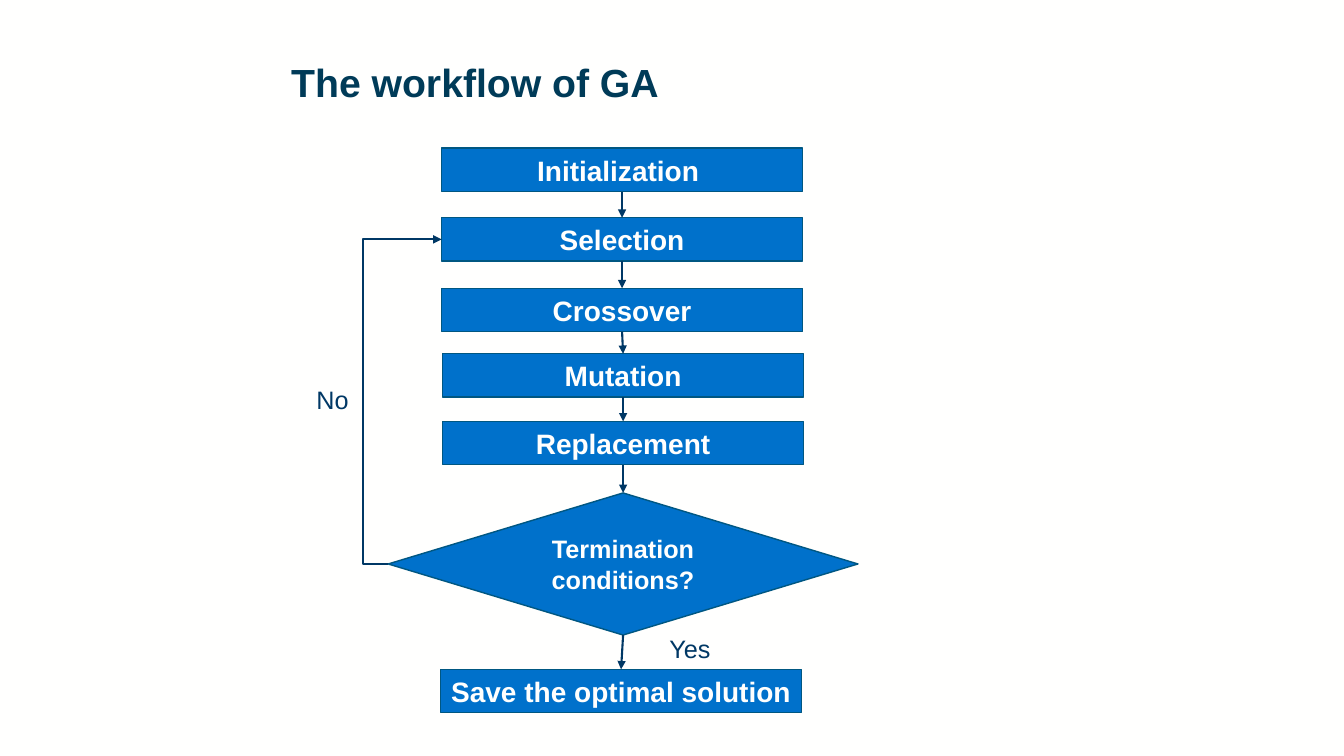
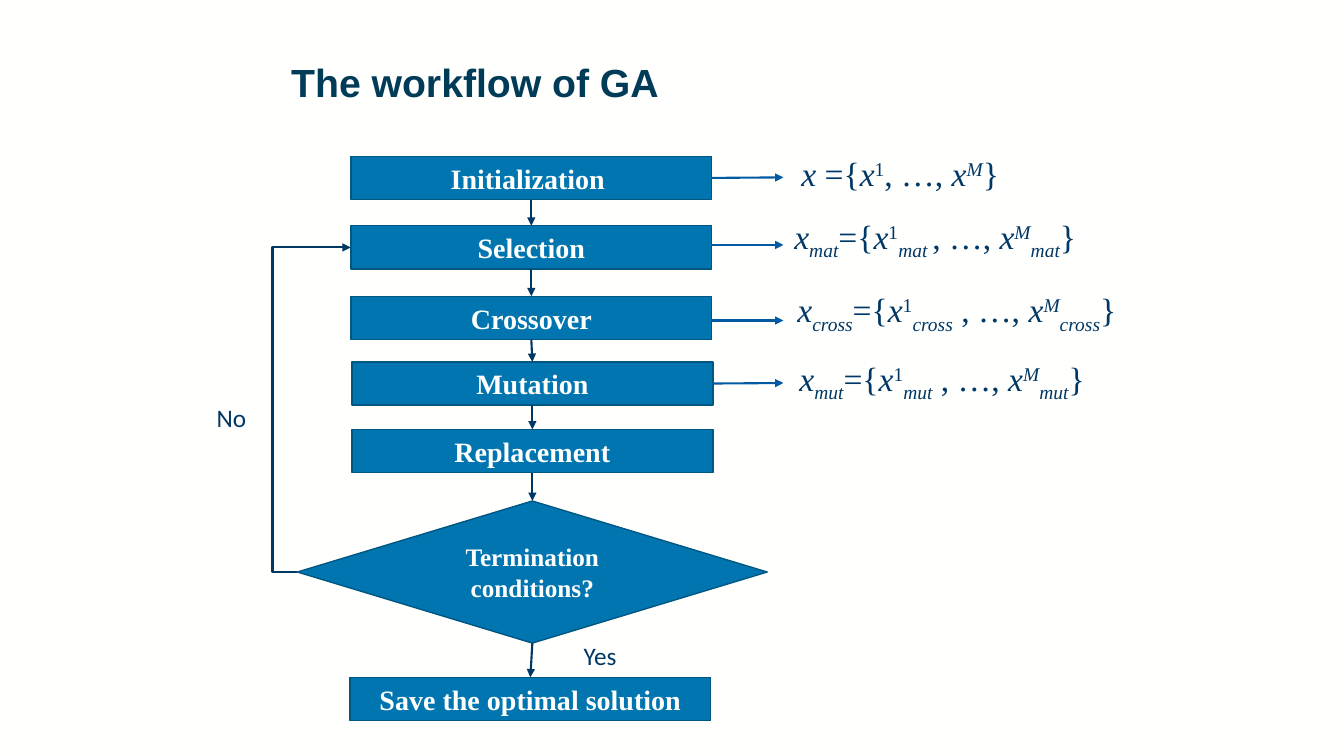
"""Build two slides that show the workflow of a genetic algorithm."""
from dataclasses import dataclass
from itertools import pairwise
from typing import Any

from lxml.etree import SubElement
from pptx import Presentation
from pptx.dml.color import RGBColor
from pptx.enum.shapes import MSO_CONNECTOR as Route, MSO_SHAPE as Preset
from pptx.enum.text import MSO_ANCHOR as Anchor, PP_ALIGN as Align
from pptx.oxml.ns import qn
from pptx.shapes.autoshape import Shape
from pptx.shapes.connector import Connector
from pptx.slide import Slide
from pptx.util import Emu, Pt

EMU_PER_PX = 9144
PAGE_WIDTH, PAGE_HEIGHT = 1333, 750
PAPER, TITLE_INK, NAVY = "FFFFFE", "003B58", "003865"
EDGE, RESULT_LINE = "005782", "005AA2"
SANS, SERIF, LABEL_FONT = "Arial", "Times New Roman", "Calibri"
TOP, LEFT, BOTTOM, RIGHT = range(4)
BOX_WIDTH, BOX_HEIGHT = 358, 43
DIAMOND_WIDTH, DIAMOND_HEIGHT = 466, 141
LOOP_BEND = -46600
RESULT_TIP = 777
SUPER, SUB = 30000, -25000


@dataclass(frozen=True)
class Step:
    text: str
    dx: int
    dy: int
    is_decision: bool = False


@dataclass(frozen=True)
class Span:
    text: str
    italic: bool = False
    baseline: int = 0


@dataclass(frozen=True)
class Label:
    text: str
    left: int
    top: int
    width: int


@dataclass(frozen=True)
class Flow:
    left: int
    top: int
    fill: str
    font: str
    label_font: str
    labels: tuple[Label, ...]


@dataclass(frozen=True)
class Result:
    left: int
    top: int
    width: int
    arrow_y: int
    name: str
    subscript: str
    member_subscript: str
    separator: str


STEPS = (
    Step("Initialization ", 0, 0),
    Step("Selection", 0, 69),
    Step("Crossover", 0, 139),
    Step("Mutation", 1, 204),
    Step("Replacement", 1, 271),
    Step("Termination conditions?", -53, 342, is_decision=True),
    Step("Save the optimal solution", -1, 517),
)
PLAIN_FLOW = Flow(438, 147, "0071CB", SANS, SANS,
                  (Label("No", 304, 376, 54), Label("Yes", 654, 623, 80)))
RESULT_FLOW = Flow(348, 155, "0075B0", SERIF, LABEL_FONT,
                   (Label("No", 205, 394, 54), Label("Yes", 569, 630, 57)))
RESULTS = (
    Result(785, 147, 224, 176, "x ", "", "", ", …, "),
    Result(778, 209, 344, 243, "x", "mat", "mat ", ", …, "),
    Result(781, 282, 352, 318, "x", "cross", "cross", " , …, "),
    Result(783, 350, 354, 380, "x", "mut", "mut", " , …, "),
)


def px(length: int) -> Emu:
    return Emu(length * EMU_PER_PX)


def rgb(code: str) -> RGBColor:
    return RGBColor.from_string(code)


def apply(target: Any, formats: dict[str, Any]) -> None:
    for name, value in formats.items():
        setattr(target, name, value)


def write(shape: Shape, spans: list[Span], color: str, font: dict[str, Any],
          para_format: dict[str, Any] | None = None) -> None:
    para = shape.text_frame.paragraphs[0]
    apply(para, para_format or {})
    for item in spans:
        span = para.add_run()
        span.text = item.text
        apply(span.font, font | {"italic": item.italic})
        span.font.color.rgb = rgb(color)
        if item.baseline:
            span._r.get_or_add_rPr().set("baseline", str(item.baseline))


def add_text(page: Slide, left: int, top: int, width: int, height: int,
             spans: list[Span], color: str, font: dict[str, Any],
             para_format: dict[str, Any] | None = None) -> None:
    box = page.shapes.add_textbox(px(left), px(top), px(width), px(height))
    box.text_frame.word_wrap = True
    write(box, spans, color, font, para_format)


def add_step(page: Slide, flow: Flow, step: Step) -> Shape:
    preset, width, height, size = (
        (Preset.DIAMOND, DIAMOND_WIDTH, DIAMOND_HEIGHT, 18) if step.is_decision
        else (Preset.RECTANGLE, BOX_WIDTH, BOX_HEIGHT, 20))
    box = page.shapes.add_shape(preset, px(flow.left + step.dx), px(flow.top + step.dy),
                                px(width), px(height))
    box.shadow.inherit = False
    box.fill.solid()
    box.fill.fore_color.rgb = rgb(flow.fill)
    box.line.color.rgb = rgb(EDGE)
    box.line.width = Pt(1)
    apply(box.text_frame, {"word_wrap": True, "vertical_anchor": Anchor.MIDDLE,
                           "margin_left": px(5), "margin_right": px(5)})
    write(box, [Span(step.text)], PAPER,
          {"name": flow.font, "size": Pt(size), "bold": True},
          {"alignment": Align.CENTER})
    return box


def style_arrow(arrow: Connector, color: str) -> None:
    arrow.line.color.rgb = rgb(color)
    arrow.line.width = Pt(1.5)
    SubElement(arrow.line._get_or_add_ln(), qn("a:tailEnd"), type="triangle")
    SubElement(arrow._element.spPr, qn("a:effectLst"))


def join(page: Slide, route: Route, start: Shape, start_side: int,
         end: Shape, end_side: int) -> Connector:
    arrow = page.shapes.add_connector(route, 0, 0, 0, 0)
    arrow.begin_connect(start, start_side)
    arrow.end_connect(end, end_side)
    style_arrow(arrow, NAVY)
    return arrow


def add_flow(page: Slide, flow: Flow) -> list[Shape]:
    boxes = [add_step(page, flow, step) for step in STEPS]
    for upper, lower in pairwise(boxes):
        join(page, Route.STRAIGHT, upper, BOTTOM, lower, TOP)
    decision, selection = boxes[5], boxes[1]
    loop = join(page, Route.ELBOW, decision, LEFT, selection, LEFT)
    guides = loop._element.spPr.find(qn("a:prstGeom")).get_or_add_avLst()
    SubElement(guides, qn("a:gd"), name="adj1", fmla=f"val {LOOP_BEND}")
    for label in flow.labels:
        add_text(page, label.left, label.top, label.width, 40, [Span(label.text)],
                 NAVY, {"name": flow.label_font, "size": Pt(18)})
    return boxes


def formula(result: Result) -> list[Span]:
    spans = [
        Span(result.name, True), Span(result.subscript, True, SUB), Span("={"),
        Span("x", True), Span("1", False, SUPER),
        Span(result.member_subscript, True, SUB), Span(result.separator),
        Span("x", True), Span("M", True, SUPER),
        Span(result.subscript, True, SUB), Span("}"),
    ]
    return [span for span in spans if span.text]


def add_result(page: Slide, box: Shape, result: Result) -> None:
    y = px(result.arrow_y)
    arrow = page.shapes.add_connector(Route.STRAIGHT, box.left + box.width, y,
                                      px(RESULT_TIP), y)
    if abs(box.top + box.height // 2 - y) <= px(1):
        arrow.begin_connect(box, RIGHT)
    style_arrow(arrow, RESULT_LINE)
    add_text(page, result.left, result.top, result.width, 50, formula(result),
             NAVY, {"name": SERIF, "size": Pt(24)})


def add_page(deck: Any, title: str) -> Slide:
    page = deck.slides.add_slide(deck.slide_layouts[6])
    page.background.fill.solid()
    page.background.fill.fore_color.rgb = rgb(PAPER)
    add_text(page, 279, 58, 1007, 97, [Span(title)], TITLE_INK,
             {"name": SANS, "size": Pt(28), "bold": True}, {"line_spacing": 0.9})
    return page


def main() -> None:
    deck = Presentation()
    apply(deck, {"slide_width": px(PAGE_WIDTH), "slide_height": px(PAGE_HEIGHT)})
    title = "The workflow of GA"
    add_flow(add_page(deck, title), PLAIN_FLOW)
    page = add_page(deck, title)
    boxes = add_flow(page, RESULT_FLOW)
    for box, result in zip(boxes, RESULTS):
        add_result(page, box, result)
    deck.save("out.pptx")


if __name__ == "__main__":
    main()
